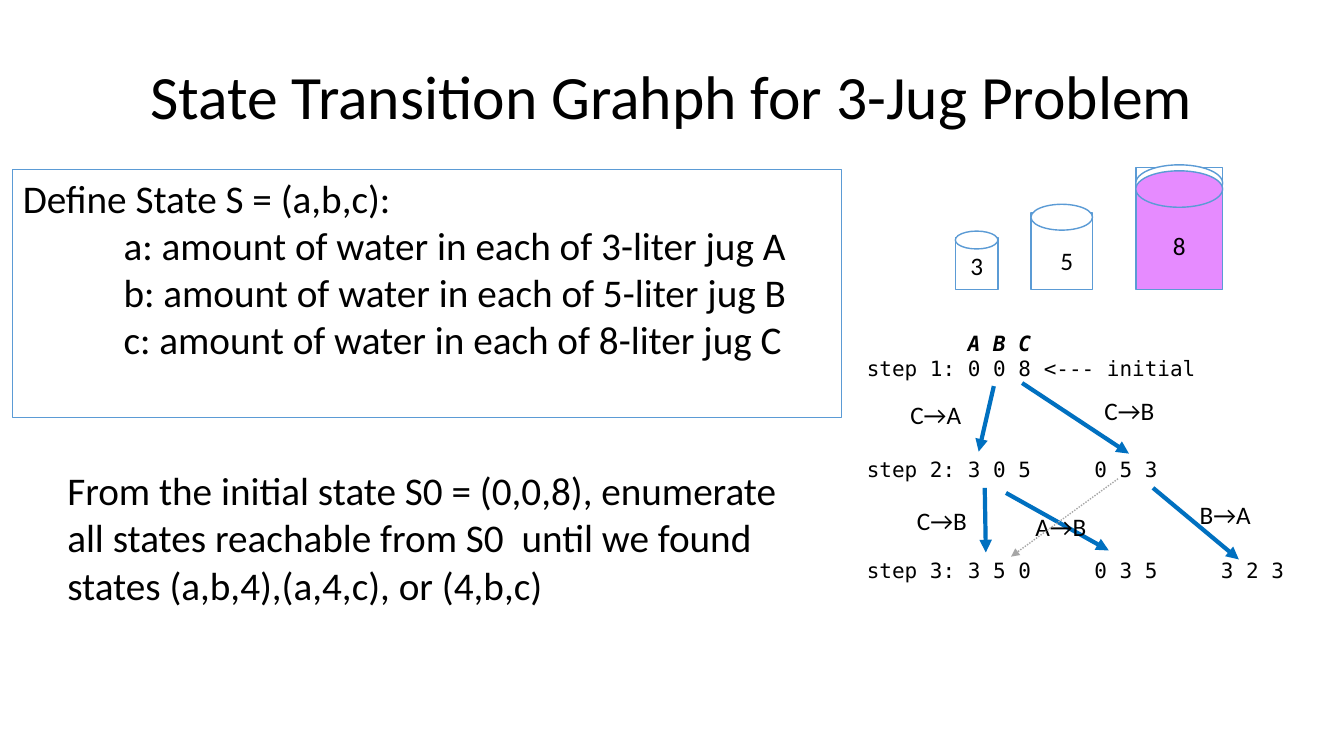
from pptx import Presentation
from pptx.dml.color import RGBColor
from pptx.enum.dml import MSO_LINE
from pptx.enum.shapes import MSO_CONNECTOR, MSO_SHAPE
from pptx.enum.text import MSO_ANCHOR, PP_ALIGN
from pptx.oxml.ns import qn
from pptx.util import Pt
from lxml.etree import SubElement

BLACK, WHITE, OUTLINE = "000000", "FFFFFF", "5B9BD5"
WATER, MOVE, BACK_MOVE = "E68BFF", "0070C0", "A6A6A6"
MONO_CHAR = 9.03  # width of one 15 pt monospaced character


def color(hex_code):
    return RGBColor.from_string(hex_code)


def add_text(slide, box, text, size=18, font="Calibri", align=PP_ALIGN.LEFT,
             anchor=MSO_ANCHOR.TOP, inset=(3.6, 3.6), wrap=True, spacing=None):
    """Place text, one paragraph per line, and return its text box."""
    holder = slide.shapes.add_textbox(*map(Pt, box))
    frame = holder.text_frame
    frame.word_wrap = wrap
    frame.vertical_anchor = anchor
    frame.margin_left = frame.margin_right = Pt(inset[0])
    frame.margin_top = frame.margin_bottom = Pt(inset[1])
    frame.text = text
    for paragraph in frame.paragraphs:
        paragraph.alignment = align
        paragraph.line_spacing = spacing
        for run in paragraph.runs:
            run.font.size = Pt(size)
            run.font.name = font
            run.font.color.rgb = color(BLACK)
    return holder


def add_outlined(slide, kind, box, fill=WHITE):
    part = slide.shapes.add_shape(kind, *map(Pt, box))
    part.shadow.inherit = False
    part.fill.solid()
    part.fill.fore_color.rgb = color(fill)
    part.line.color.rgb = color(OUTLINE)
    part.line.width = Pt(1)


def add_arrow(slide, start, end, hex_code=MOVE, width=3, dash=None):
    arrow = slide.shapes.add_connector(MSO_CONNECTOR.STRAIGHT, *map(Pt, start + end))
    arrow.line.color.rgb = color(hex_code)
    arrow.line.width = Pt(width)
    if dash:
        arrow.line.dash_style = dash
    properties = arrow._element.spPr
    SubElement(properties.find(qn("a:ln")), qn("a:tailEnd"), type="triangle")
    SubElement(properties, qn("a:effectLst"))


def set_tabs(paragraph, stops):
    tab_list = SubElement(paragraph._p.get_or_add_pPr(), qn("a:tabLst"))
    for stop in stops:
        SubElement(tab_list, qn("a:tab"), pos=str(int(Pt(stop))), algn="l")


def draw_title(slide, box):
    add_text(slide, box, "State Transition Grahph for 3-Jug Problem", size=44,
             align=PP_ALIGN.CENTER, anchor=MSO_ANCHOR.MIDDLE, spacing=0.9)


def draw_definition(slide, box):
    amounts = [f"{state}: amount of water in each of {liters}-liter jug {jug}"
               for state, liters, jug in (("a", 3, "A"), ("b", 5, "B"), ("c", 8, "C"))]
    definition = add_text(slide, box, "\n".join(["Define State S = (a,b,c):"] + amounts),
                          size=28, inset=(7.2, 3.6))
    definition.line.color.rgb = color(OUTLINE)
    definition.line.width = Pt(0.75)
    for paragraph in definition.text_frame.paragraphs[1:]:
        paragraph._p.get_or_add_pPr().set("marL", str(int(Pt(72))))


def draw_task(slide, box):
    add_text(slide, box, "From the initial state S0 = (0,0,8), enumerate all states "
             "reachable from S0  until we found states (a,b,4),(a,4,c), or (4,b,c)",
             size=28, inset=(7.2, 3.6))


def draw_jug(slide, box, liters, label_top, label_shift=0, full=False):
    left, top, width, height = box
    rim_height = 0.42 * width
    rim_top = top - 0.145 * width
    water = WATER if full else WHITE
    if full:  # empty glass above the water
        add_outlined(slide, MSO_SHAPE.RECTANGLE, (left, top - 11.5, width, 28))
    add_outlined(slide, MSO_SHAPE.RECTANGLE, box, water)
    if full:
        add_outlined(slide, MSO_SHAPE.OVAL, (left, rim_top - 4.3, width, rim_height))
    add_outlined(slide, MSO_SHAPE.OVAL, (left, rim_top, width, rim_height), water)
    label_left = left + width / 2 - 8.6 + label_shift
    add_text(slide, (label_left, top + label_top, 17.2, 29.2), str(liters),
             align=PP_ALIGN.CENTER, wrap=False)


def draw_jugs(slide, left, bottom):
    draw_jug(slide, (left, bottom - 37.5, 30.4, 37.5), 3, label_top=5.8)
    draw_jug(slide, (left + 54, bottom - 54.7, 44, 54.7), 5, label_top=19.4, label_shift=3.6)
    draw_jug(slide, (left + 128.9, bottom - 76, 62, 76), 8, label_top=30.2, full=True)


def draw_state_graph(slide, box):
    left, top = box[:2]

    def at(x, y):
        return left + x, top + y

    # States reached at each step
    steps = ("\tA B C\n"
             "step 1:\t0 0 8 <--- initial\n"
             "step 2:\t3 0 5\t0 5 3\n"
             "step 3:\t3 5 0\t0 3 5\t3 2 3")
    table = add_text(slide, box, steps, size=15, font="DejaVu Sans Mono", spacing=Pt(18))
    paragraphs = table.text_frame.paragraphs
    for paragraph in paragraphs[2:]:
        paragraph.space_before = Pt(54)
    for paragraph in paragraphs:
        set_tabs(paragraph, [MONO_CHAR * column for column in (8, 18, 28)])
    for run in paragraphs[0].runs:
        run.font.bold = run.font.italic = True

    # Moves between states
    moves = [((87.8, 115.9), (88.6, 162)), ((103, 119.5), (176.4, 160.6)),
             ((208, 115.9), (269.3, 167)), ((114.5, 41), (190.8, 91.4)),
             ((94.3, 43.2), (83.5, 90))]
    for start, end in moves:
        add_arrow(slide, at(*start), at(*end))

    # Which jug is poured into which
    pours = [("C→A", 30.2, 49), ("C→B", 168.5, 46), ("C→B", 34.6, 124.6),
             ("A→B", 119.5, 129), ("B→A", 237, 120.2)]
    for pour, x, y in pours:
        add_text(slide, (*at(x, y), 45.2, 29), pour, align=PP_ALIGN.CENTER, wrap=False)

    # Repeated state
    add_arrow(slide, at(183, 109.4), at(106.6, 165), BACK_MOVE, 1, MSO_LINE.ROUND_DOT)


def main():
    deck = Presentation()
    deck.slide_width, deck.slide_height = Pt(960), Pt(540)
    slide = deck.slides.add_slide(deck.slide_layouts[6])
    draw_title(slide, (66, 32.4, 828, 77))
    draw_jugs(slide, left=682.4, bottom=207)
    draw_definition(slide, (9.2, 121, 592, 177))
    draw_state_graph(slide, (615.6, 232.6, 317.5, 189.4))
    draw_task(slide, (41, 329.8, 535, 108.7))
    deck.save("out.pptx")


if __name__ == "__main__":
    main()
